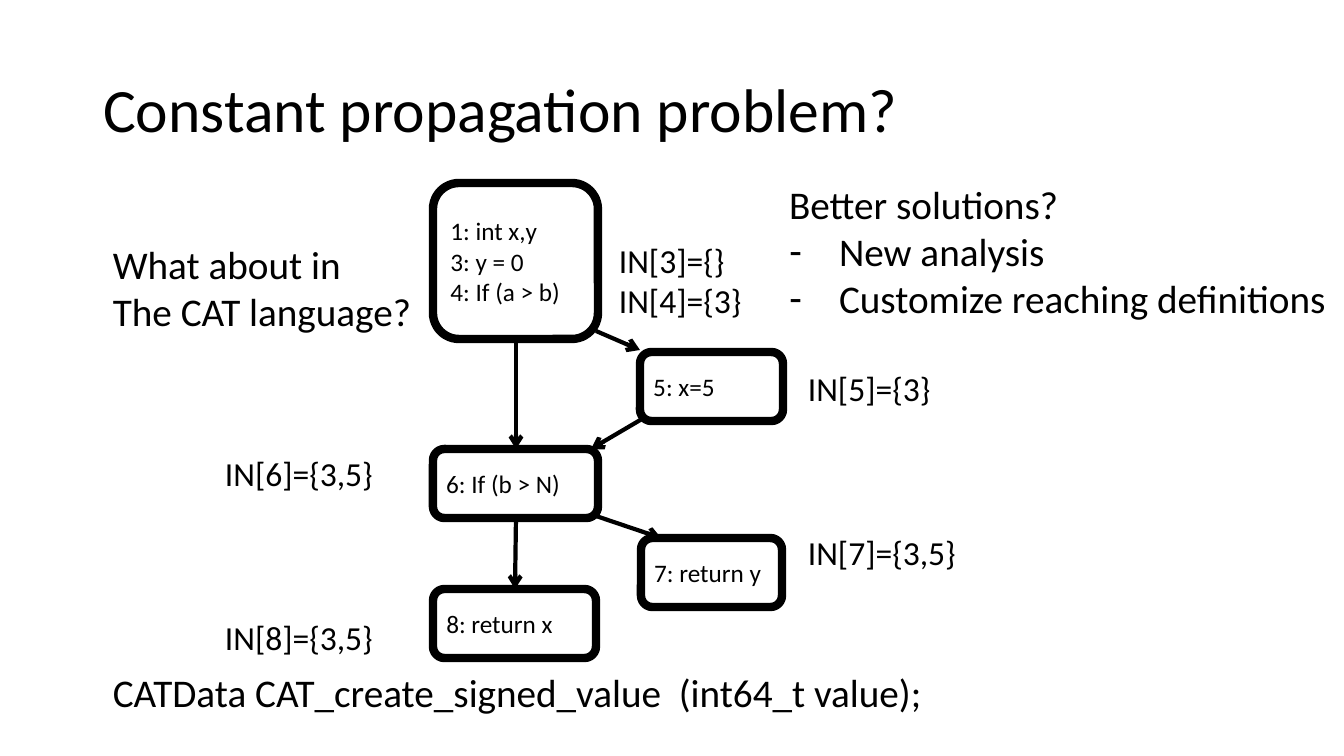
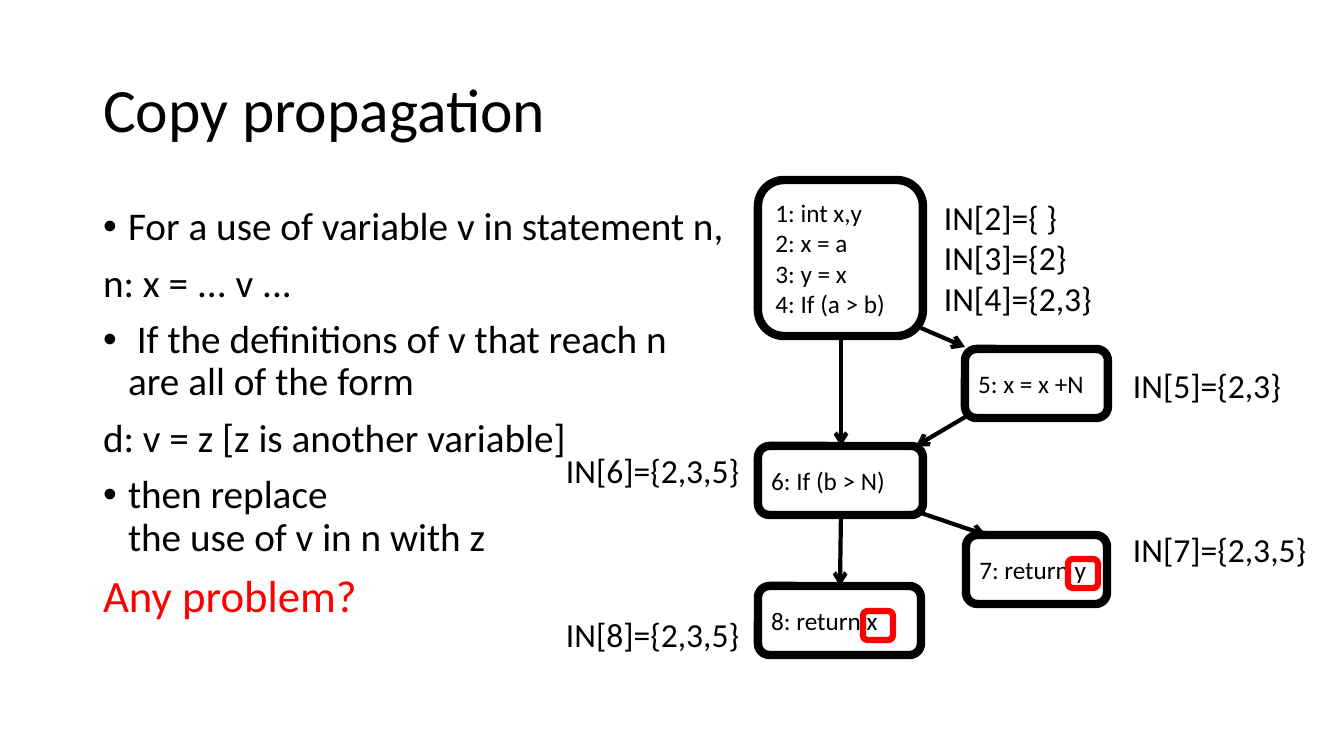
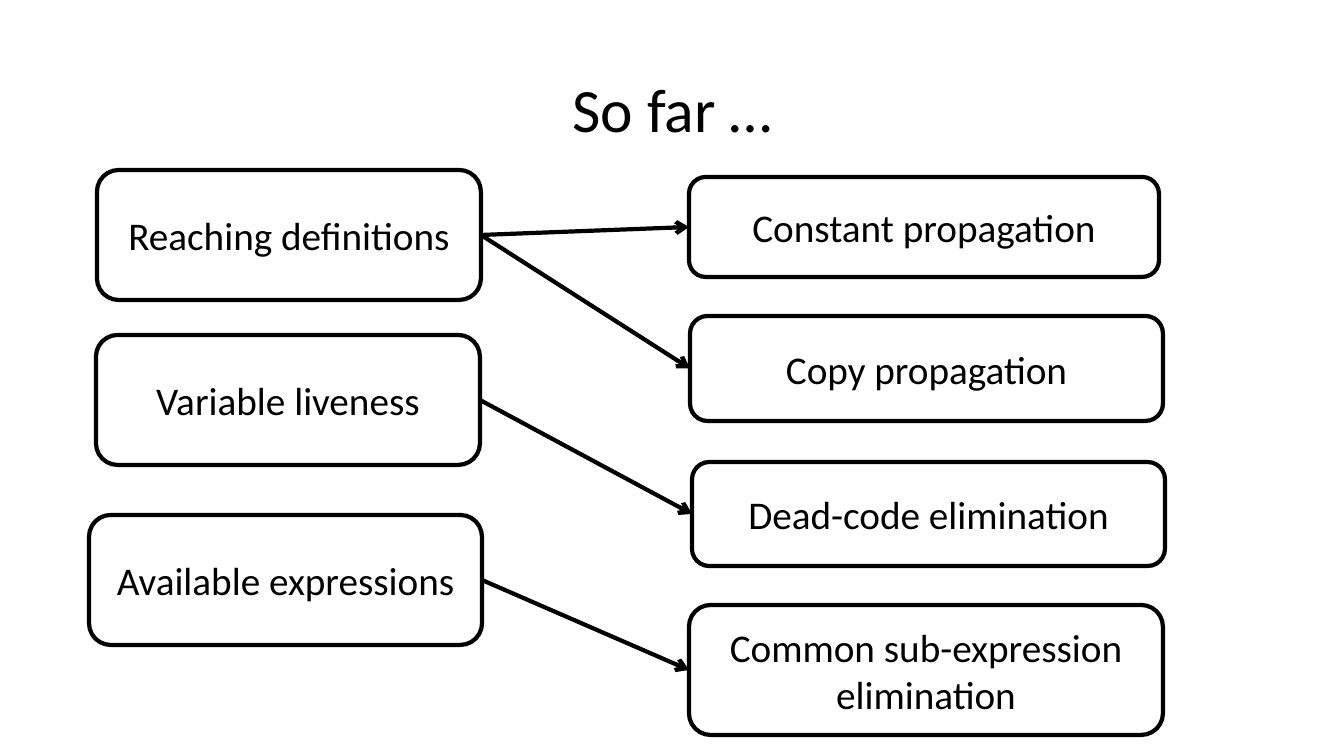
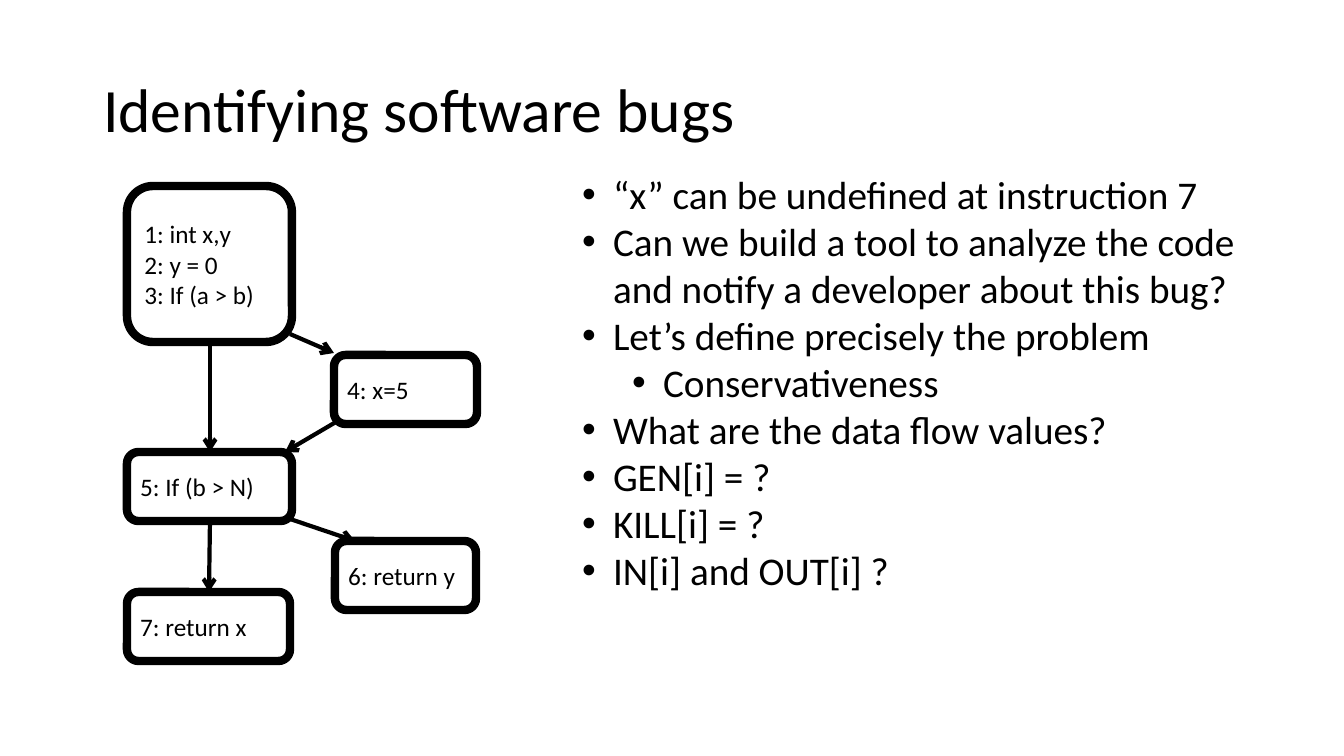
from lxml.etree import SubElement
from pptx import Presentation
from pptx.dml.color import RGBColor
from pptx.enum.shapes import MSO_CONNECTOR as Connector, MSO_SHAPE as Shape
from pptx.enum.text import MSO_ANCHOR as Anchor, MSO_AUTO_SIZE as AutoSize, PP_ALIGN as Align
from pptx.oxml.ns import qn
from pptx.util import Pt

EMU_PER_PIXEL = 914400 / 100.8
FONT = "Calibri"
BLACK = "000000"
RED = "FF0000"
TITLE_BOX = (93, 40, 1159, 146)
TITLE_ONLY, TITLE_AND_BODY = 5, 1
LEFT_SITE, RIGHT_SITE = 1, 3


def px(length):
    return round(length * EMU_PER_PIXEL)


def color(hex_string):
    return RGBColor.from_string(hex_string)


def place(part, box):
    part.left, part.top, part.width, part.height = map(px, box)


def style(paragraph, size, ink=BLACK, align=Align.LEFT):
    paragraph.alignment = align
    paragraph.font.name = FONT
    paragraph.font.size = Pt(size)
    paragraph.font.color.rgb = color(ink)


def write_lines(frame, lines, size, align=Align.LEFT):
    frame.text = "\n".join(lines)
    for paragraph in frame.paragraphs:
        style(paragraph, size, align=align)


def add_titled_slide(deck, layout, title, align=Align.LEFT):
    slide = deck.slides.add_slide(deck.slide_layouts[layout])
    heading = slide.shapes.title
    place(heading, TITLE_BOX)
    frame = heading.text_frame
    frame.auto_size = AutoSize.NONE
    frame.vertical_anchor = Anchor.MIDDLE
    write_lines(frame, [title], 44, align)
    frame.paragraphs[0].line_spacing = 0.9
    return slide


def set_bullet(paragraph, bullet, margin, hanging):
    properties = paragraph._p.get_or_add_pPr()
    properties.set("marL", str(px(margin)))
    properties.set("indent", str(-px(hanging)))
    if bullet:
        SubElement(properties, qn("a:buChar")).set("char", bullet)
    else:
        SubElement(properties, qn("a:buNone"))


def fill_body(slide, box, items, hanging, line_spacing=1.0, space_before=0):
    body = slide.placeholders[1]
    place(body, box)
    frame = body.text_frame
    frame.word_wrap = True
    frame.auto_size = AutoSize.NONE
    frame.vertical_anchor = Anchor.TOP
    for index, (bullet, level, text) in enumerate(items):
        paragraph = frame.add_paragraph() if index else frame.paragraphs[0]
        paragraph.text = text
        paragraph.level = level
        paragraph.line_spacing = line_spacing
        paragraph.space_before = Pt(space_before)
        indent = hanging if bullet else 0
        set_bullet(paragraph, bullet, indent + 50 * level, indent)
        style(paragraph, 28)
    return frame


def add_note(slide, box, lines, size, gap_before_last=0):
    note = slide.shapes.add_textbox(*map(px, box))
    frame = note.text_frame
    frame.word_wrap = False
    frame.auto_size = AutoSize.SHAPE_TO_FIT_TEXT
    write_lines(frame, lines, size)
    if gap_before_last:
        frame.paragraphs[-1].space_before = Pt(gap_before_last)


def add_rounded(slide, box, weight, ink=BLACK):
    rounded = slide.shapes.add_shape(Shape.ROUNDED_RECTANGLE, *map(px, box))
    rounded.shadow.inherit = False
    rounded.fill.background()
    rounded.line.color.rgb = color(ink)
    rounded.line.width = Pt(weight)
    return rounded


def add_node(slide, box, lines, weight, size, align=Align.LEFT):
    node = add_rounded(slide, box, weight)
    node.text_frame.vertical_anchor = Anchor.MIDDLE
    write_lines(node.text_frame, lines, size, align)
    return node


def add_arrow(slide, start=(0, 0), end=(0, 0)):
    arrow = slide.shapes.add_connector(Connector.STRAIGHT, *map(px, start + end))
    arrow.line.color.rgb = color(BLACK)
    arrow.line.width = Pt(3)
    properties = arrow.element.spPr
    SubElement(properties.find(qn("a:ln")), qn("a:tailEnd")).set("type", "arrow")
    SubElement(properties, qn("a:effectLst"))
    return arrow


def add_flow_graph(slide, left, top, blocks):
    block_boxes = [
        (0, 0, 165, 156),
        (207, 169, 143, 69),
        (0, 266, 165, 69),
        (208, 355, 141, 69),
        (0, 406, 163, 69),
    ]
    edges = [
        (163, 148, 207, 167),
        (83, 156, 83, 266),
        (209, 236, 158, 266),
        (83, 335, 82, 406),
        (163, 333, 228, 355),
    ]
    for (x, y, width, height), lines in zip(block_boxes, blocks):
        add_node(slide, (left + x, top + y, width, height), lines, 6, 18)
    for x1, y1, x2, y2 in edges:
        add_arrow(slide, (left + x1, top + y1), (left + x2, top + y2))


def add_in_sets(slide, left, top, entry_sets, right_sets, left_sets, side_width, left_gap):
    entry_height = 12 + 40 * len(entry_sets)
    add_note(slide, (left + 365, top + 180, side_width, 214), right_sets, 24, 88)
    add_note(slide, (left + 176, top + 144 - entry_height, 170 if len(entry_sets) > 2 else 145,
                     entry_height), entry_sets, 24)
    add_note(slide, (left - left_gap - side_width, top + 265, side_width, 214), left_sets, 24, 88)


def build_constant_propagation(deck):
    slide = add_titled_slide(deck, TITLE_AND_BODY, "Constant propagation problem?")
    add_note(slide, (103, 235, 848, 485),
             ["What about in", "The CAT language?",
              "CATData CAT_create_signed_value  (int64_t value);"], 28, 239)
    left, top = 433, 183
    add_flow_graph(slide, left, top, [
        ["1: int x,y", "3: y = 0", "4: If (a > b)"],
        ["5: x=5"], ["6: If (b > N)"], ["7: return y"], ["8: return x"],
    ])
    add_in_sets(slide, left, top, ["IN[3]={}", "IN[4]={3}"],
                ["IN[5]={3}", "IN[7]={3,5}"], ["IN[6]={3,5}", "IN[8]={3,5}"], 170, 48)
    fill_body(slide, (779, 175, 565, 152), [
        ("", 0, "Better solutions?"),
        ("-", 0, "New analysis"),
        ("-", 0, "Customize reaching definitions"),
    ], 50)


def build_copy_propagation(deck):
    slide = add_titled_slide(deck, TITLE_AND_BODY, "Copy propagation")
    body = fill_body(slide, (93, 202, 658, 480), [
        ("•", 0, "For a use of variable v in statement n,"),
        ("", 0, "n: x = ... v ..."),
        ("•", 0, " If the definitions of v that reach n \vare all of the form"),
        ("", 0, "d: v = z [z is another variable]"),
        ("•", 0, "then replace \vthe use of v in n with z"),
        ("", 0, "Any problem?"),
    ], 25, 0.9, 10)
    style(body.paragraphs[-1], 32, RED)
    left, top = 758, 180
    add_flow_graph(slide, left, top, [
        ["1: int x,y", "2: x = a", "3: y = x", "4: If (a > b)"],
        ["5: x = x +N"], ["6: If (b > N)"], ["7: return y"], ["8: return x"],
    ])
    add_in_sets(slide, left, top, ["IN[2]={ }", "IN[3]={2}", "IN[4]={2,3}"],
                ["IN[5]={2,3}", "IN[7]={2,3,5}"], ["IN[6]={2,3,5}", "IN[8]={2,3,5}"], 196, 6)
    for x, y in [(105, 431), (310, 379)]:
        add_rounded(slide, (left + x, top + y, 30, 29), 4.5, RED)


def build_so_far(deck):
    slide = add_titled_slide(deck, TITLE_ONLY, "So far …", Align.CENTER)
    analyses = [
        ("Reaching definitions", (97, 170, 384, 130)),
        ("Variable liveness", (96, 335, 384, 130)),
        ("Available expressions", (89, 515, 393, 130)),
    ]
    optimizations = [
        ("Constant propagation", (689, 177, 470, 100)),
        ("Copy propagation", (690, 316, 473, 105)),
        ("Dead-code elimination", (692, 462, 473, 104)),
        ("Common sub-expression elimination", (689, 605, 474, 130)),
    ]
    sources, targets = [
        [add_node(slide, box, [name], 3, 28, Align.CENTER) for name, box in column]
        for column in (analyses, optimizations)
    ]
    for source, target in zip([sources[0], *sources], targets):
        arrow = add_arrow(slide)
        arrow.begin_connect(source, RIGHT_SITE)
        arrow.end_connect(target, LEFT_SITE)


def build_software_bugs(deck):
    slide = add_titled_slide(deck, TITLE_AND_BODY, "Identifying software bugs")
    add_flow_graph(slide, 127, 186, [
        ["1: int x,y", "2: y = 0", "3: If (a > b)"],
        ["4: x=5"], ["5: If (b > N)"], ["6: return y"], ["7: return x"],
    ])
    fill_body(slide, (572, 165, 680, 437), [
        ("•", 0, "“x” can be undefined at instruction 7"),
        ("•", 0, "Can we build a tool to analyze the code\vand notify a developer about this bug?"),
        ("•", 0, "Let’s define precisely the problem"),
        ("•", 1, "Conservativeness"),
        ("•", 0, "What are the data flow values?"),
        ("•", 0, "GEN[i] = ?"),
        ("•", 0, "KILL[i] = ?"),
        ("•", 0, "IN[i] and OUT[i] ?"),
    ], 31)


deck = Presentation()
deck.slide_width, deck.slide_height = px(1344), px(756)
build_constant_propagation(deck)
build_copy_propagation(deck)
build_so_far(deck)
build_software_bugs(deck)
deck.save("out.pptx")
